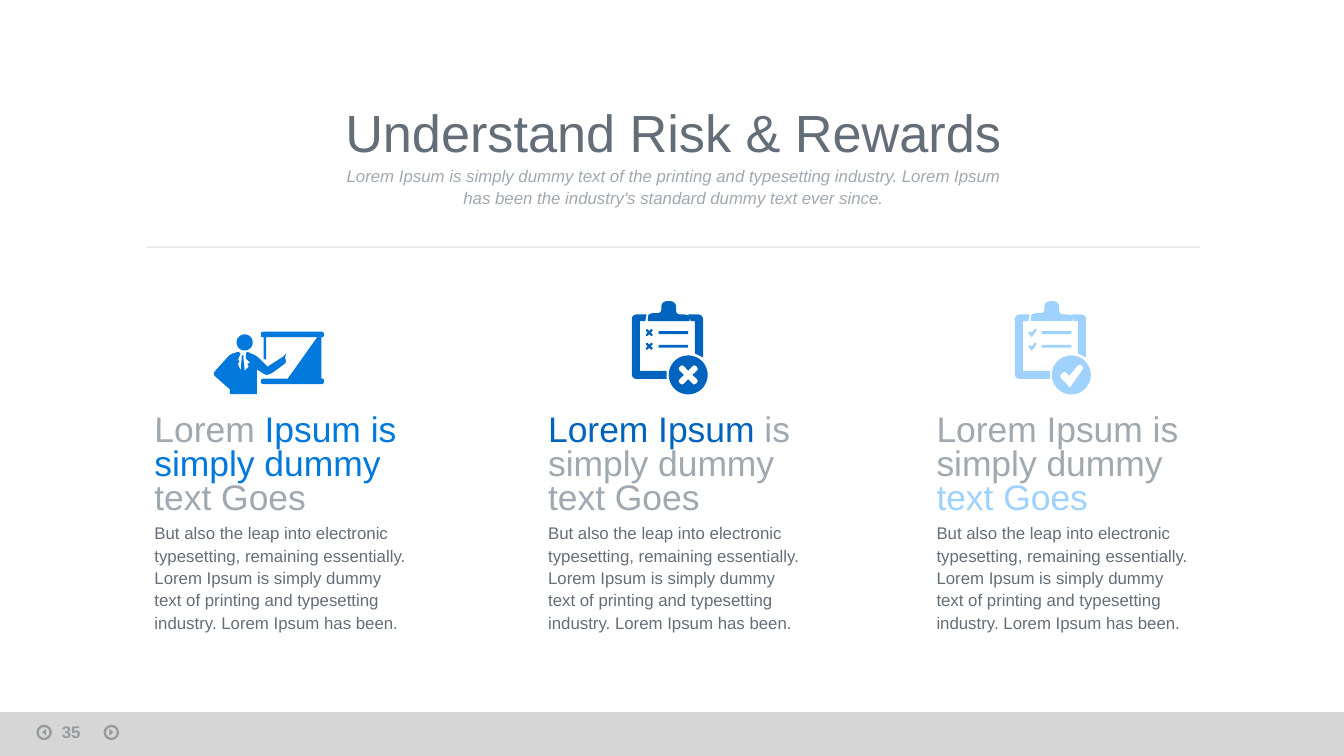
import math

import pptx
import pptx.dml.color
import pptx.enum.shapes
import pptx.enum.text
import pptx.oxml.ns
import pptx.util
from lxml import etree

Cm, Pt = pptx.util.Cm, pptx.util.Pt
RGBColor = pptx.dml.color.RGBColor
MSO_SHAPE = pptx.enum.shapes.MSO_SHAPE
PP_ALIGN = pptx.enum.text.PP_ALIGN
MSO_ANCHOR = pptx.enum.text.MSO_ANCHOR
qn = pptx.oxml.ns.qn

SLATE = RGBColor(0x64, 0x6E, 0x78)
GREY = RGBColor(0xA0, 0xA8, 0xB0)
SILVER = RGBColor(0xD2, 0xD2, 0xD2)
INK = RGBColor(0x05, 0x14, 0x23)
BLUE = RGBColor(0x00, 0x78, 0xDC)
NAVY = RGBColor(0x00, 0x64, 0xBE)
SKY = RGBColor(0xA0, 0xD2, 0xFF)

ICON_UNIT = Cm(2.54) / 100
BODY = ("But also the leap into electronic typesetting, remaining essentially. "
        "Lorem Ipsum is simply dummy text of printing and typesetting industry. "
        "Lorem Ipsum has been.")


def set_alpha(element, percent):
    for color in element.iter(qn("a:srgbClr")):
        etree.SubElement(color, qn("a:alpha"), val=str(percent * 1000))


def add_text(tf, runs, size=9, align=PP_ALIGN.LEFT, spacing=None,
             bold=False, italic=False, alpha=100):
    """Fill the first paragraph with (text, color) runs."""
    p = tf.paragraphs[0]
    p.alignment = align
    p.line_spacing = spacing
    for text, color in runs:
        r = p.add_run()
        r.text = text
        r.font.name, r.font.size = "Arial", Pt(size)
        r.font.bold, r.font.italic = bold, italic
        r.font.color.rgb = color
    if alpha < 100:
        set_alpha(p._p, alpha)


# Icon outlines: points are (x, y) or (x, y, corner radius)
def rounded(points, steps=6):
    """Replace each corner that has a radius by a short curve."""
    out = []
    for i, (x, y, *radius) in enumerate(points):
        if not radius:
            out.append((x, y))
            continue
        ends = []
        for nx, ny, *_ in (points[i - 1], points[(i + 1) % len(points)]):
            t = min(radius[0] / math.dist((x, y), (nx, ny)), 0.5)
            ends.append((x + (nx - x) * t, y + (ny - y) * t))
        (ax, ay), (bx, by) = ends
        for k in range(steps + 1):
            t = k / steps
            u = 1 - t
            out.append((u * u * ax + 2 * u * t * x + t * t * bx,
                        u * u * ay + 2 * u * t * y + t * t * by))
    return out


def ring(cx, cy, radius, count=48):
    return [(cx + radius * math.cos(2 * math.pi * k / count),
             cy + radius * math.sin(2 * math.pi * k / count)) for k in range(count)]


def placed(points, cx, cy, factor):
    return [(cx + x * factor, cy + y * factor, *(v * factor for v in radius))
            for x, y, *radius in points]


def cross_mark():
    quarter = [(0, -3.2), (4.5, -8, 2.5), (8, -4.5, 2.5)]
    points = []
    for _ in range(4):
        points += quarter
        quarter = [(-y, x, *radius) for x, y, *radius in quarter]
    return points


CHECK_MARK = [(6, -8.5, 3), (9.5, -5.5, 3), (-1, 9.5), (-9, 1, 2.5), (-5, -3, 2.5), (-1.5, 0.5)]


def clipboard(mark):
    clip = [(12, 15), (12, 9, 5), (22, 9, 3), (22, 0, 6),
            (33, 0, 6), (33, 10, 3), (43, 10, 5), (43, 15)]
    left = [(11, 10), (0, 10, 4), (0, 58, 4), (26, 58), (26, 52), (6, 52), (6, 15), (10, 15)]
    right = [(42, 10), (53, 10, 4), (53, 42), (47, 39), (47, 15), (44, 15)]
    contours = [clip, left, right, ring(42, 55, 14.5), placed(mark, 42, 55, 1)]
    for y in (23.5, 33.7):
        contours.append(placed(mark, 13, y, 0.36))
        contours.append([(20, y - 1.1), (42, y - 1.1), (42, y + 1.1), (20, y + 1.1)])
    return contours


def presenter():
    screen = [(35, 0, 2), (82, 0, 2), (82, 4, 2), (80, 4), (80, 35), (82, 35, 2),
              (82, 39, 2), (35, 39, 2), (35, 35, 2), (39, 35), (55, 35), (77, 4),
              (39, 4), (39, 21), (37, 20), (37, 4), (35, 4, 2)]
    body = [(18, 15), (12, 17, 2), (-1, 31.5, 3), (12, 43), (12, 46.5), (32, 46.5),
            (32, 28), (39, 32.5, 2), (43, 31), (54, 23, 2), (53, 19), (54, 16), (51, 19),
            (40, 26), (32, 18, 3), (25, 15), (24, 16), (24, 20), (27, 23), (25, 24),
            (26, 26), (23, 29), (22, 19), (22.5, 18), (21, 17.5), (20.8, 19), (20, 29),
            (18, 24), (19, 22), (18, 21), (20, 16)]
    return [screen, ring(23, 8, 6), body]


class Deck:
    def __init__(self):
        self.prs = pptx.Presentation()
        self.prs.slide_width, self.prs.slide_height = Cm(25.4), Cm(14.29)
        self.s = self.prs.slides.add_slide(self.prs.slide_layouts[6])

    def text(self, x, y, w, h, runs, inset=0, anchor=MSO_ANCHOR.MIDDLE, **fmt):
        tf = self.s.shapes.add_textbox(Cm(x), Cm(y), Cm(w), Cm(h)).text_frame
        tf.word_wrap = True
        tf.vertical_anchor = anchor
        tf.margin_left = tf.margin_right = Cm(2 * inset)
        tf.margin_top = tf.margin_bottom = Cm(inset)
        add_text(tf, runs, **fmt)

    def shape(self, kind, x, y, w, h, color, alpha, line=0, rotation=0):
        sp = self.s.shapes.add_shape(kind, Cm(x), Cm(y), Cm(w), Cm(h))
        sp.shadow.inherit = False
        sp.rotation = rotation
        if line:
            sp.fill.background()
            sp.line.color.rgb, sp.line.width = color, Pt(line)
        else:
            sp.fill.solid()
            sp.fill.fore_color.rgb = color
            sp.line.fill.background()
        set_alpha(sp._element.spPr, alpha)

    def rule(self, x1, x2, y, color, alpha):
        kind = pptx.enum.shapes.MSO_CONNECTOR.STRAIGHT
        sp = self.s.shapes.add_connector(kind, Cm(x1), Cm(y), Cm(x2), Cm(y))
        sp.line.color.rgb, sp.line.width = color, Pt(0.5)
        etree.SubElement(sp._element.spPr, qn("a:effectLst"))
        set_alpha(sp._element.spPr, alpha)

    def icon(self, x, y, contours, color):
        builder = None
        for contour in contours:
            points = [(px * ICON_UNIT, py * ICON_UNIT) for px, py in rounded(contour)]
            if builder is None:
                builder = self.s.shapes.build_freeform(*points[0])
            else:
                builder.move_to(*points[0])
            builder.add_line_segments(points[1:], close=True)
        sp = builder.convert_to_shape(Cm(x), Cm(y))
        sp.shadow.inherit = False
        sp.fill.solid()
        sp.fill.fore_color.rgb = color
        sp.line.fill.background()


def main():
    d = Deck()

    # Footer with page arrows and number
    d.shape(MSO_SHAPE.RECTANGLE, 0, 13.46, 25.4, 0.83, SILVER, 90)
    for x, rotation in ((1.98, 90), (0.71, 270)):
        d.shape(MSO_SHAPE.OVAL, x, 13.72, 0.25, 0.25, INK, 30, line=1.25)
        d.shape(MSO_SHAPE.ISOSCELES_TRIANGLE, x + 0.06, 13.8, 0.13, 0.08, INK, 30,
                rotation=rotation)
    d.text(0.91, 13.51, 1.07, 0.53, [("35", INK)], inset=0.13,
           anchor=MSO_ANCHOR.TOP, bold=True, alpha=30)

    # Heading
    d.text(4.45, 1.83, 16.54, 1.32, [("Understand Risk & Rewards", SLATE)],
           size=28, align=PP_ALIGN.CENTER)
    d.text(6.35, 3.07, 12.75, 0.89,
           [("Lorem Ipsum is simply dummy text of the printing and typesetting industry. "
             "Lorem Ipsum has been the industry's standard dummy text ever since.", GREY)],
           align=PP_ALIGN.CENTER, spacing=Pt(12), italic=True)
    d.rule(2.77, 22.68, 4.67, SLATE, 25)

    # Columns: text left, icon position, icon, icon color, title runs
    columns = [
        (2.92, 4.04, 6.27, presenter(), BLUE,
         [("Lorem ", GREY), ("Ipsum is simply dummy", BLUE), (" text Goes", GREY)]),
        (10.36, 11.94, 5.69, clipboard(cross_mark()), NAVY,
         [("Lorem Ipsum ", NAVY), ("is simply dummy text Goes", GREY)]),
        (17.7, 19.18, 5.69, clipboard(CHECK_MARK), SKY,
         [("Lorem Ipsum is simply dummy ", GREY), ("text Goes", SKY)]),
    ]
    for x, icon_x, icon_y, contours, color, title in columns:
        d.text(x, 9.86, 4.83, 2.08, [(BODY, SLATE)], spacing=Pt(12))
        d.text(x, 8.05, 4.83, 1.52, title, size=19, spacing=0.8)
        d.icon(icon_x, icon_y, contours, color)

    d.prs.save("out.pptx")


if __name__ == "__main__":
    main()
